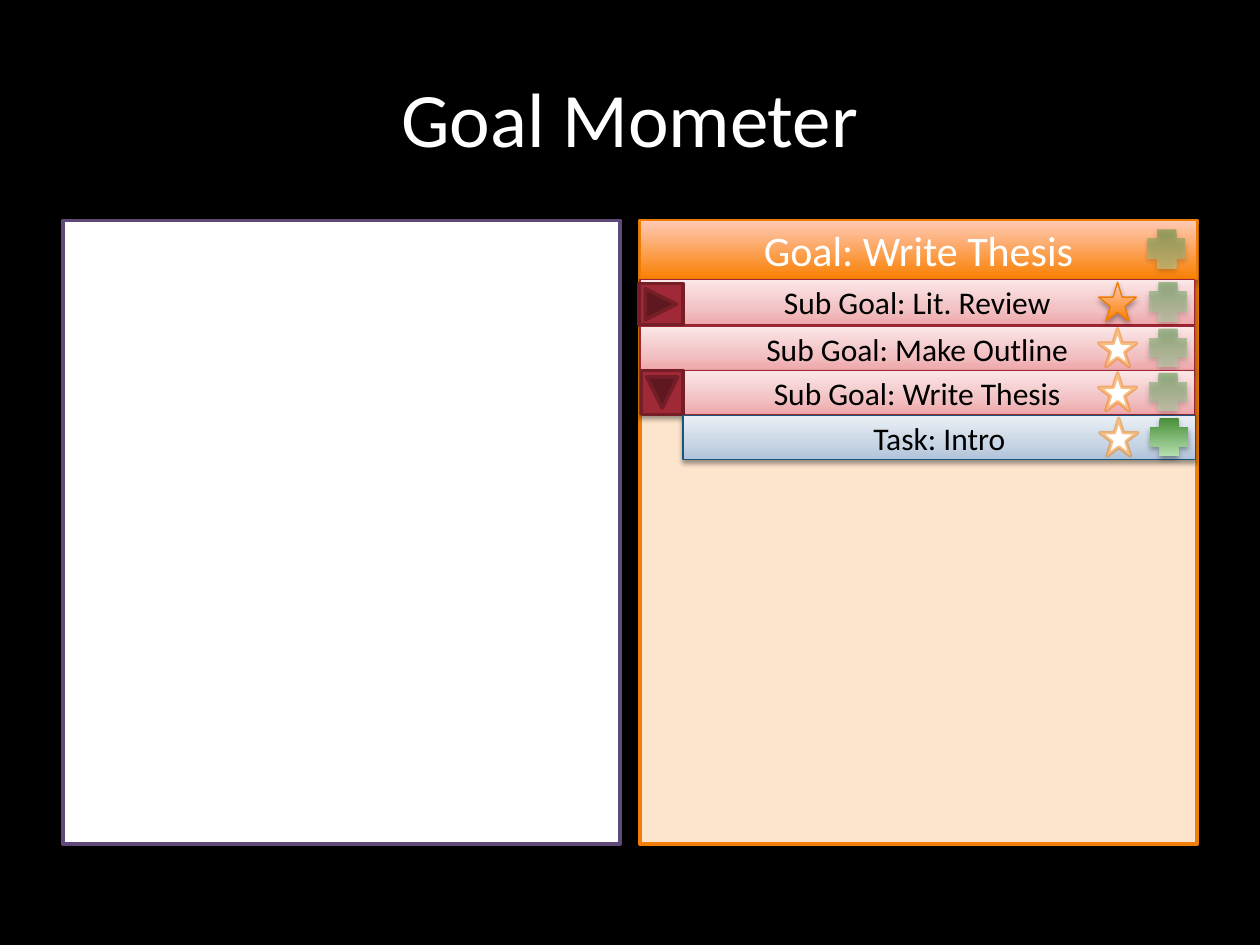
from lxml import etree
from pptx import Presentation
from pptx import util as u
from pptx.dml.color import RGBColor
from pptx.enum import shapes, text
from pptx.oxml.ns import qn

PX = 9144  # EMU per px, 100 px to the inch
FONT = "Calibri"
KIND = shapes.MSO_SHAPE

BLACK = RGBColor(0x00, 0x00, 0x00)
WHITE = RGBColor(0xFF, 0xFF, 0xFF)
PURPLE = RGBColor(0x60, 0x48, 0x78)
PEACH = RGBColor(0xFD, 0xE5, 0xCD)
ORANGE = RGBColor(0xF0, 0x7F, 0x09)
ORANGE_EDGE = RGBColor(0xF0, 0x7C, 0x03)
RED = RGBColor(0x9F, 0x29, 0x36)
RED_EDGE = RGBColor(0x9E, 0x25, 0x33)
DARK_RED = RGBColor(0x76, 0x1E, 0x28)
BLUE_EDGE = RGBColor(0x18, 0x57, 0x7C)

# Gradients run from bottom to top: (position in percent, colour)
ORANGE_BLEND = [(0, RGBColor(0xF9, 0x7F, 0x00)), (100, RGBColor(0xFF, 0xC9, 0xB5))]
GREEN_BLEND = [(0, RGBColor(0x48, 0x8F, 0x38)), (100, RGBColor(0xB5, 0xDF, 0xAF))]
PINK_BLEND = [(0, RGBColor(0xEE, 0xA6, 0xA9)), (35, RGBColor(0xF2, 0xC1, 0xC3)),
              (100, RGBColor(0xFB, 0xE7, 0xE7))]
BLUE_BLEND = [(0, RGBColor(0xAF, 0xC2, 0xDA)), (35, RGBColor(0xC7, 0xD4, 0xE4)),
              (100, RGBColor(0xEA, 0xEF, 0xF5))]


def add_color(parent, color, opacity=100):
    node = etree.SubElement(parent, qn("a:srgbClr"), val=str(color))
    if opacity < 100:
        etree.SubElement(node, qn("a:alpha"), val=str(opacity * 1000))


def blend(shape, stops, opacity=100):
    shape.fill.gradient()
    shape.fill.gradient_angle = 90
    stop_list = shape._element.spPr.find(".//" + qn("a:gsLst"))
    for old in list(stop_list):
        stop_list.remove(old)
    for position, color in stops:
        stop = etree.SubElement(stop_list, qn("a:gs"), pos=str(position * 1000))
        add_color(stop, color, opacity)


def cast_shadow(shape, opacity=35, distance=1.8):
    effects = shape._element.spPr.find(qn("a:effectLst"))
    shadow = etree.SubElement(
        effects, qn("a:outerShdw"), blurRad=str(u.Pt(3.1)), dist=str(u.Pt(distance)),
        dir="5400000", rotWithShape="0")
    add_color(shadow, BLACK, opacity)


def add_shape(slide, kind, box, fill=None, edge=None, weight=2):
    shape = slide.shapes.add_shape(kind, *(value * PX for value in box))
    shape.shadow.inherit = False
    if fill is not None:
        shape.fill.solid()
        shape.fill.fore_color.rgb = fill
    if edge is None:
        shape.line.fill.background()
    else:
        shape.line.color.rgb = edge
        shape.line.width = u.Pt(weight)
    return shape


def write(shape, wording, size, color):
    frame = shape.text_frame
    frame.text = wording
    frame.vertical_anchor = text.MSO_ANCHOR.MIDDLE
    line = frame.paragraphs[0]
    line.alignment = text.PP_ALIGN.CENTER
    line.font.name = FONT
    line.font.size = u.Pt(size)
    line.font.color.rgb = color


def add_bar(slide, box, wording, stops, edge):
    bar = add_shape(slide, KIND.RECTANGLE, box, edge=edge, weight=0.75)
    blend(bar, stops)
    cast_shadow(bar, 38, 1.6)
    write(bar, wording, 18, BLACK)


def add_plus(slide, box, opacity=50):
    plus = add_shape(slide, KIND.CROSS, box)
    plus._element.spPr.find(qn("a:xfrm")).set("flipV", "1")
    blend(plus, GREEN_BLEND, opacity)
    cast_shadow(plus)


def add_star(slide, box, done):
    if done:
        star = add_shape(slide, KIND.STAR_5_POINT, box, edge=ORANGE_EDGE, weight=0.75)
        blend(star, ORANGE_BLEND)
        cast_shadow(star)
    else:
        star = add_shape(slide, KIND.STAR_5_POINT, box, WHITE, ORANGE)
        edge_color = star._element.spPr.find(qn("a:ln")).find(".//" + qn("a:srgbClr"))
        etree.SubElement(edge_color, qn("a:alpha"), val="50000")


def add_toggle(slide, left, top, turn):
    toggle = add_shape(slide, KIND.ACTION_BUTTON_FORWARD_OR_NEXT,
                       (left, top, 35, 33), RED, DARK_RED)
    toggle.rotation = turn


def add_sub_goal(slide, top, height, wording, icon_height, done=False):
    add_bar(slide, (508, top, 440, height), wording, PINK_BLEND, RED_EDGE)
    add_plus(slide, (912, top + 2, 30, icon_height))
    add_star(slide, (872, top + 2, 30, icon_height), done)


def main():
    deck = Presentation()
    deck.slide_width, deck.slide_height = 1000 * PX, 750 * PX
    slide = deck.slides.add_slide(deck.slide_layouts[5])
    slide.background.fill.solid()
    slide.background.fill.fore_color.rgb = BLACK

    # Title
    title = slide.shapes.title
    title.left, title.top, title.width, title.height = (
        value * PX for value in (50, 30, 900, 125))
    write(title, "Goal Mometer", 44, WHITE)

    # Empty panel and goal panel
    add_shape(slide, KIND.RECTANGLE, (50, 175, 442, 495), WHITE, PURPLE)
    add_shape(slide, KIND.RECTANGLE, (508, 175, 442, 495), PEACH, ORANGE)

    # Goal header
    header = add_shape(slide, KIND.RECTANGLE, (508, 175, 442, 47),
                       edge=ORANGE_EDGE, weight=0.75)
    blend(header, ORANGE_BLEND)
    cast_shadow(header)
    write(header, "Goal: Write Thesis", 24, WHITE)
    add_plus(slide, (911, 182, 30, 31))

    # Sub goals, closed and opened
    add_sub_goal(slide, 222, 36, "Sub Goal: Lit. Review", 31, done=True)
    add_toggle(slide, 507, 225, 0)
    add_sub_goal(slide, 259, 35, "Sub Goal: Make Outline", 30)
    add_sub_goal(slide, 294, 35, "Sub Goal: Write Thesis", 30)
    add_toggle(slide, 508, 295, 90)

    # Task under the opened sub goal
    add_bar(slide, (542, 330, 407, 35), "Task: Intro", BLUE_BLEND, BLUE_EDGE)
    add_plus(slide, (913, 332, 30, 30), opacity=100)
    add_star(slide, (873, 332, 30, 30), done=False)

    deck.save("out.pptx")


if __name__ == "__main__":
    main()
